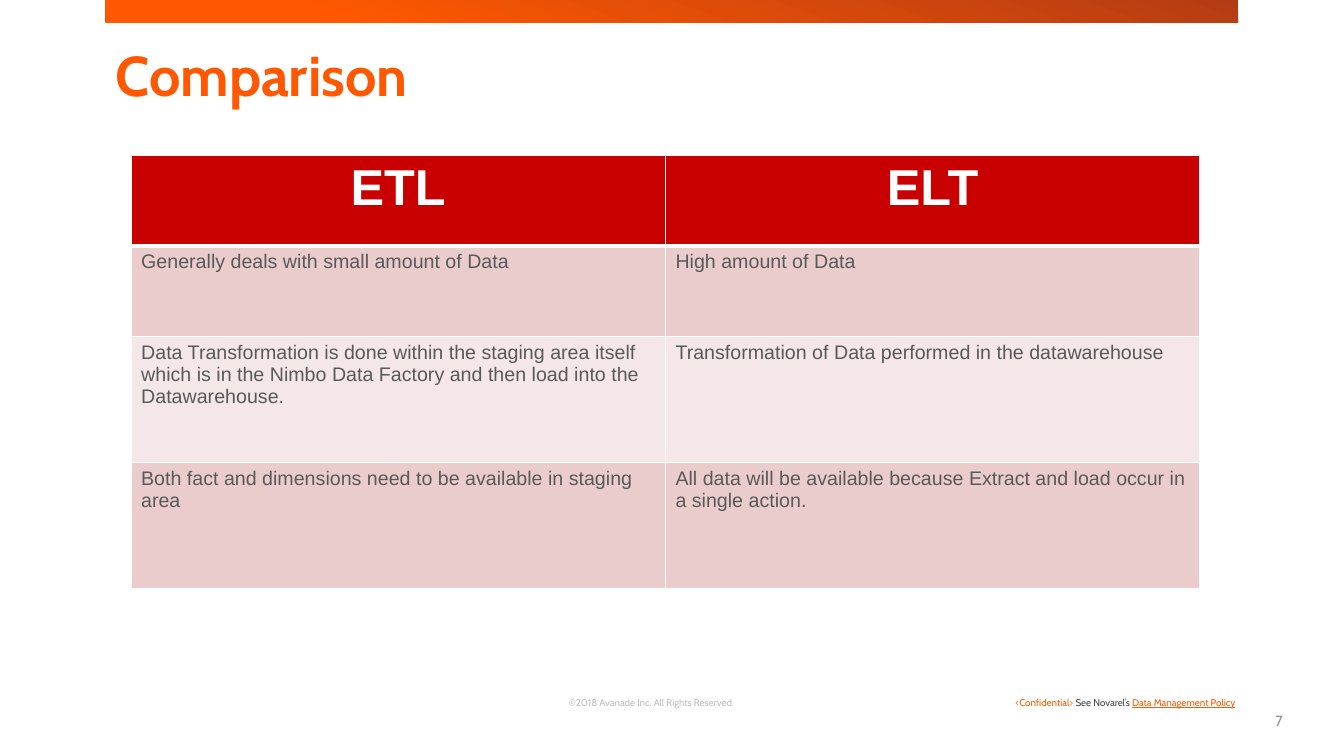
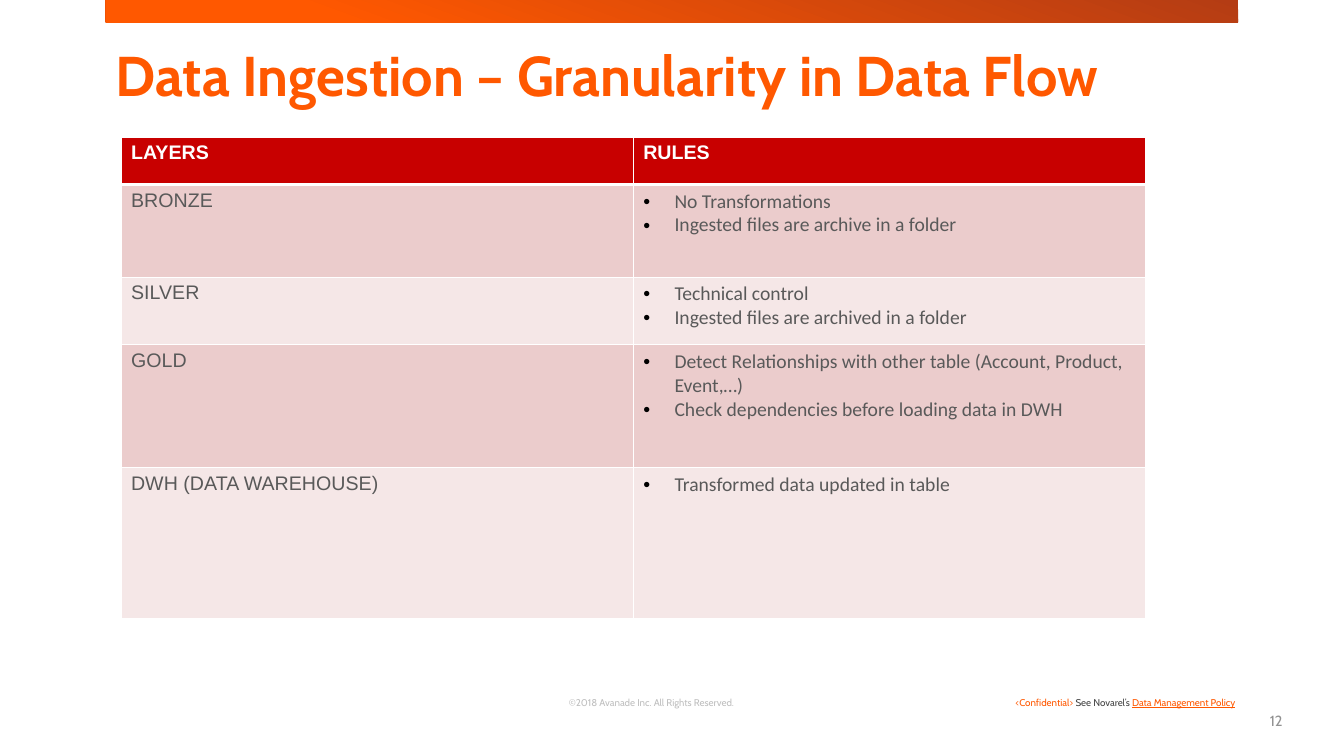
"""Build two slides that compare ETL with ELT and list the rules of each data layer."""
import pptx
import pptx.dml.color
import pptx.enum.shapes
import pptx.enum.text
import pptx.oxml.ns
import pptx.util
from lxml import etree

Inches = pptx.util.Inches
Pt = pptx.util.Pt
qn = pptx.oxml.ns.qn
ALIGN = pptx.enum.text.PP_ALIGN
ANCHOR = pptx.enum.text.MSO_ANCHOR

COLORS = {
    "orange": "FF5800", "rust": "B43C14", "red": "C80000", "rose": "EBCCCC",
    "blush": "F5E7E7", "white": "FFFFFF", "black": "000000", "body": "595959",
    "policy": "464646", "copyright": "BFBFBF", "page": "929292",
}
CABIN = {"name": "Cabin"}
FOOTNOTE = {**CABIN, "size": Pt(7)}
TITLE = {**CABIN, "size": Pt(40), "bold": True}
BODY = {"name": "Arial", "size": Pt(14), "bold": False}
RULE = {**BODY, "name": "Calibri"}
HEADER = {**BODY, "bold": True}
BIG_HEADER = {**HEADER, "size": Pt(36)}
INSET = (0.1, 0.05)

COMPARISON = [
    ["ETL", "ELT"],
    ["Generally deals with small amount of Data", "High amount of Data"],
    ["Data Transformation is done within the staging area itself which is in the "
     "Nimbo Data Factory and then load into the Datawarehouse.",
     "Transformation of Data performed in the datawarehouse"],
    ["Both fact and dimensions need to be available in staging area",
     "All data will be available because Extract and load occur in a single action."],
]
LAYERS = [
    ["LAYERS", "RULES"],
    ["BRONZE", ["No Transformations", "Ingested files are archive in a folder"]],
    ["SILVER", ["Technical control", "Ingested files are archived in a folder"]],
    ["GOLD", ["Detect Relationships with other table (Account, Product, Event,…)",
              "Check dependencies before loading data in DWH"]],
    ["DWH (DATA WAREHOUSE)", ["Transformed data updated in table"]],
]
SLIDES = [
    {"title": "Comparison", "page": "7", "rows": COMPARISON, "left": 1.3, "top": 1.54,
     "column": 5.3, "heights": [0.9, 0.9, 1.25, 1.25],
     "header": BIG_HEADER, "header_align": ALIGN.CENTER},
    {"title": "Data Ingestion – Granularity in Data Flow", "page": "12", "rows": LAYERS,
     "left": 1.2, "top": 1.36, "column": 5.08, "heights": [0.47, 0.92, 0.67, 1.22, 1.5],
     "header": HEADER, "header_align": ALIGN.LEFT},
]


def add_run(paragraph, text, color, font):
    run = paragraph.add_run()
    run.text = text
    run.font.color.rgb = pptx.dml.color.RGBColor.from_string(COLORS[color])
    for attribute, value in font.items():
        setattr(run.font, attribute, value)


def add_color(parent, tag, color):
    holder = etree.SubElement(parent, qn(tag))
    etree.SubElement(holder, qn("a:srgbClr"), val=COLORS[color])


deck = pptx.Presentation()
deck.slide_width, deck.slide_height = Inches(13.33), Inches(7.5)

for content in SLIDES:
    slide = deck.slides.add_slide(deck.slide_layouts[6])

    band = slide.shapes.add_shape(pptx.enum.shapes.MSO_SHAPE.RECTANGLE,
                                  Inches(1.05), 0, Inches(11.23), Inches(0.22))
    band.shadow.inherit = False
    band.line.fill.background()
    band.fill.gradient()
    band.fill.gradient_angle = 250
    for stop, position, color in zip(band.fill.gradient_stops, (0, 0.8), ("rust", "orange")):
        stop.position = position
        stop.color.rgb = pptx.dml.color.RGBColor.from_string(COLORS[color])

    texts = [
        ((9.71, 6.86, 2.64, 0.22), INSET, ANCHOR.TOP, ALIGN.RIGHT, 1.0, [
            ("<Confidential> ", "orange", FOOTNOTE),
            ("See Novarel’s ", "policy", FOOTNOTE),
            ("Data Management Policy", "orange", {**FOOTNOTE, "underline": True})]),
        ((5.1, 6.85, 2.72, 0.18), (0, 0), ANCHOR.BOTTOM, ALIGN.CENTER, 0.9, [
            ("©2018 Avanade Inc. All Rights Reserved.", "copyright", FOOTNOTE)]),
        ((12.28, 6.95, 0.54, 0.4), INSET, ANCHOR.MIDDLE, ALIGN.RIGHT, 1.0, [
            (content["page"], "page", {**CABIN, "size": Pt(10.5)})]),
        ((1.05, 0.43, 11.23, 0.95), INSET, ANCHOR.TOP, ALIGN.LEFT, 0.9, [
            (content["title"], "orange", TITLE)]),
    ]
    for place, (side, edge), anchor, align, spacing, runs in texts:
        frame = slide.shapes.add_textbox(*map(Inches, place)).text_frame
        layout = {"word_wrap": True, "vertical_anchor": anchor,
                  "margin_left": Inches(side), "margin_right": Inches(side),
                  "margin_top": Inches(edge), "margin_bottom": Inches(edge)}
        for attribute, value in layout.items():
            setattr(frame, attribute, value)
        paragraph = frame.paragraphs[0]
        paragraph.alignment = align
        paragraph.line_spacing = spacing
        for run in runs:
            add_run(paragraph, *run)

    rows, heights = content["rows"], content["heights"]
    table = slide.shapes.add_table(
        len(rows), 2, Inches(content["left"]), Inches(content["top"]),
        Inches(2 * content["column"]), Inches(sum(heights))).table
    for column in table.columns:
        column.width = Inches(content["column"])

    for row_index, (row, height) in enumerate(zip(rows, heights)):
        table.rows[row_index].height = Inches(height)
        is_header = row_index == 0
        fill = "red" if is_header else ("blush", "rose")[row_index % 2]
        borders = {"a:lnL": 1, "a:lnR": 1, "a:lnT": 3 if row_index == 1 else 1,
                   "a:lnB": 3 if is_header else 1}
        for column_index, entry in enumerate(row):
            cell = table.cell(row_index, column_index)
            cell.fill.solid()
            cell.fill.fore_color.rgb = pptx.dml.color.RGBColor.from_string(COLORS[fill])
            properties = cell._tc.get_or_add_tcPr()
            for order, (side, width) in enumerate(borders.items()):
                border = etree.Element(qn(side), w=str(Pt(width)))
                add_color(border, "a:solidFill", "white")
                properties.insert(order, border)

            bulleted = isinstance(entry, list)
            for line_index, line in enumerate(entry if bulleted else [entry]):
                frame = cell.text_frame
                paragraph = frame.add_paragraph() if line_index else frame.paragraphs[0]
                if bulleted:
                    bullet = paragraph._p.get_or_add_pPr()
                    bullet.set("marL", str(Inches(0.31)))
                    bullet.set("indent", str(-Inches(0.31)))
                    add_color(bullet, "a:buClr", "black")
                    etree.SubElement(bullet, qn("a:buFont"), typeface="Arial")
                    etree.SubElement(bullet, qn("a:buChar"), char="•")
                if is_header:
                    paragraph.alignment = content["header_align"]
                    add_run(paragraph, line, "white", content["header"])
                else:
                    add_run(paragraph, line, "body", RULE if bulleted else BODY)

deck.save("out.pptx")
